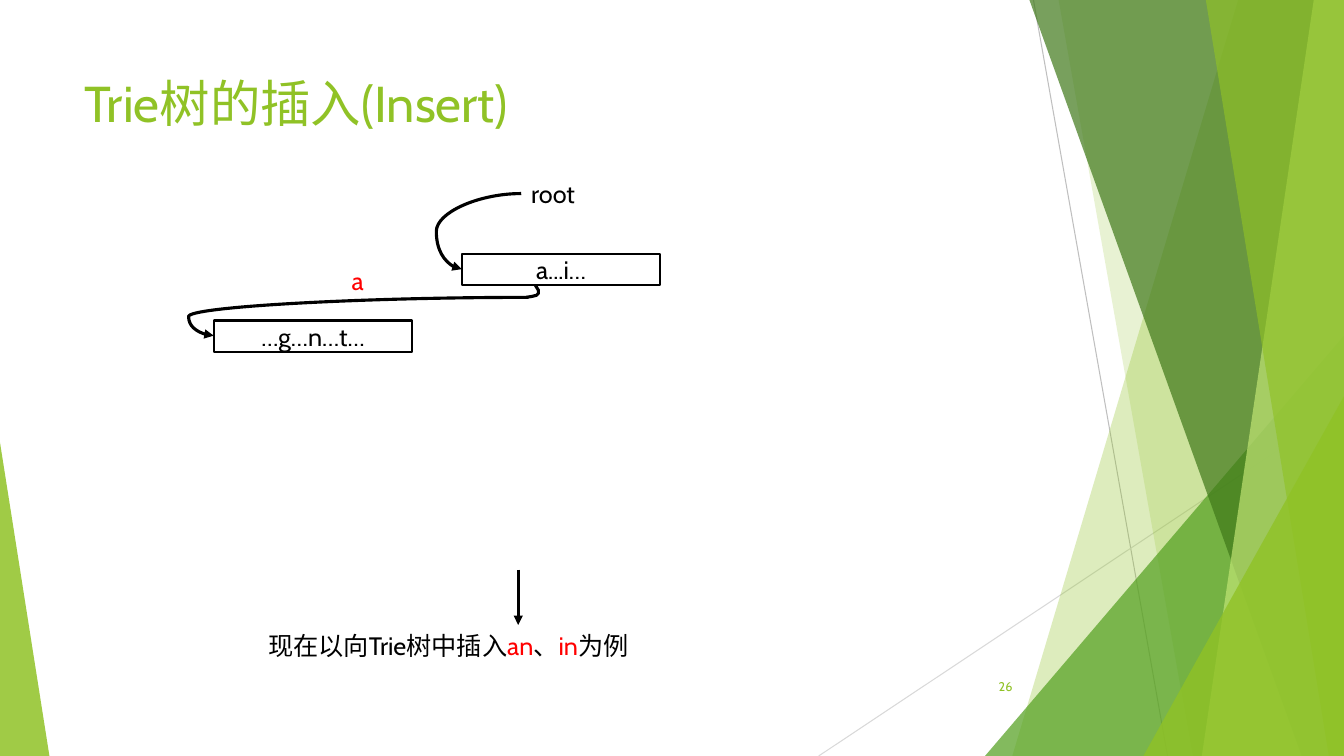
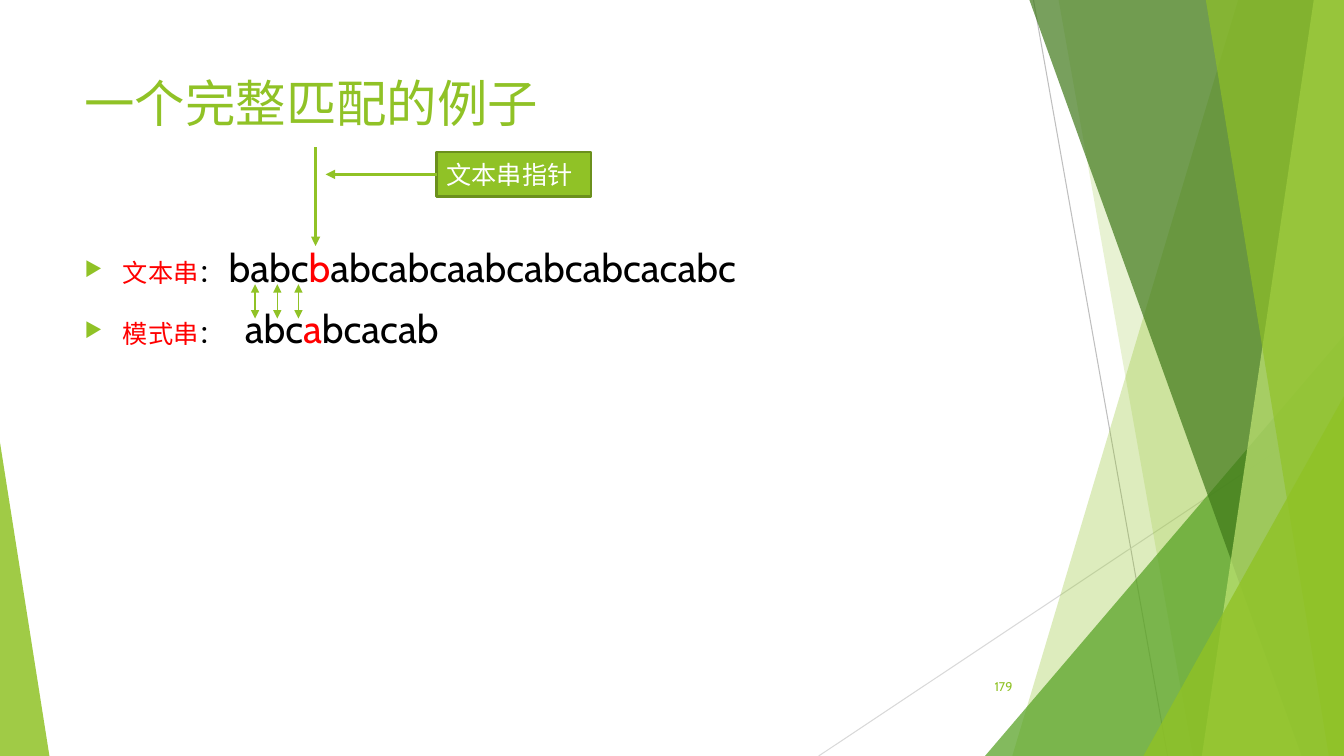
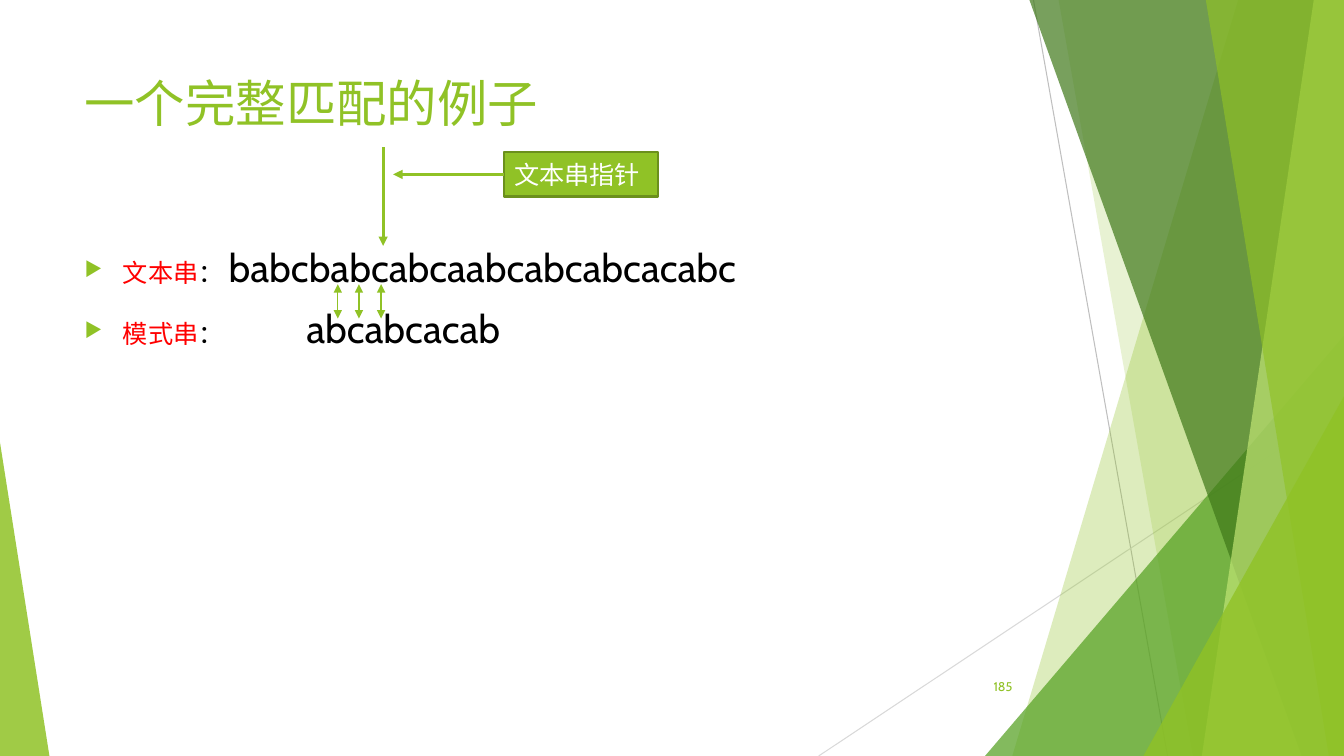
from lxml.etree import SubElement
from pptx import Presentation
from pptx.dml.color import RGBColor
from pptx.enum.shapes import MSO_CONNECTOR, MSO_SHAPE
from pptx.enum.text import MSO_ANCHOR, PP_ALIGN
from pptx.oxml.ns import qn
from pptx.util import Inches, Pt

FONT = "Cabin"
WIDE, HIGH = 13.33, 7.5
HUES = {
    "lime": "90C226", "leaf": "54A021", "forest": "3F7819", "pale": "C0E474",
    "moss": "6B901C", "gray": "BFBFBF", "mist": "D9D9D9",
    "black": "000000", "red": "FF0000", "white": "FFFFFF",
}
COLORS = {name: RGBColor.from_string(code) for name, code in HUES.items()}


def write(frame, rows, size, align=PP_ALIGN.LEFT, gap=0):
    """Fill a frame with rows of (text, colour) runs, gap points apart."""
    frame.word_wrap = True
    for i, row in enumerate(rows):
        para = frame.add_paragraph() if i else frame.paragraphs[0]
        para.alignment = align
        if i:
            para.space_before = Pt(gap)
        for text, color in row:
            run = para.add_run()
            run.text = text
            run.font.size = Pt(size)
            run.font.name = FONT
            run.font.color.rgb = COLORS[color]
            SubElement(run.font._element, qn("a:ea"), typeface=FONT)


def link(slide, start, end, color, width, heads=(), kind=MSO_CONNECTOR.STRAIGHT):
    """Draw a connector; heads names the ends that carry an arrowhead."""
    line = slide.shapes.add_connector(kind, *map(Inches, start + end))
    line.line.color.rgb = COLORS[color]
    line.line.width = Pt(width)
    for head in heads:
        SubElement(line.line._get_or_add_ln(), qn("a:" + head), type="triangle")
    SubElement(line._element.spPr, qn("a:effectLst"))
    return line


deck = Presentation()
deck.slide_width, deck.slide_height = Inches(WIDE), Inches(HIGH)

# Bands run from (top x, foot x) to the right edge; peaks are left, top, width, apex
facets = [
    ("band", (12.28, 10.04), "lime", 30),
    ("band", (10.5, 11.83), "lime", 20),
    ("peak", (9.77, 3.33, 3.56, 1), "leaf", 72),
    ("band", (10.21, 12.91), "forest", 70),
    ("band", (13.03, 11.92), "pale", 70),
    ("band", (11.96, 13.18), "lime", 65),
    ("peak", (11.34, 3.93, 1.99, 1), "lime", 80),
    ("peak", (0, 4.39, 0.49, 0), "lime", 85),
]
heads = [
    ("Trie树的插入(Insert)", "26"),
    ("一个完整匹配的例子", "179"),
    ("一个完整匹配的例子", "185"),
]
slides = []
for title, number in heads:
    slide = deck.slides.add_slide(deck.slide_layouts[6])
    slides.append(slide)
    link(slide, (10.25, 0), (11.58, HIGH), "gray", 0.75)
    link(slide, (WIDE, 4.03), (8.12, HIGH), "mist", 0.75)
    for kind, spot, color, alpha in facets:
        if kind == "band":
            top, foot = spot
            path = slide.shapes.build_freeform(Inches(top), 0)
            corners = [(WIDE, 0), (WIDE, HIGH), (foot, HIGH)]
            path.add_line_segments([(Inches(x), Inches(y)) for x, y in corners])
            facet = path.convert_to_shape()
        else:
            left, top, width, apex = spot
            facet = slide.shapes.add_shape(
                MSO_SHAPE.ISOSCELES_TRIANGLE,
                *map(Inches, (left, top, width, HIGH - top)))
            facet.adjustments[0] = apex
        facet.shadow.inherit = False
        facet.line.fill.background()
        facet.fill.solid()
        facet.fill.fore_color.rgb = COLORS[color]
        tint = facet._element.spPr.find(qn("a:solidFill"))[0]
        SubElement(tint, qn("a:alpha"), val=str(alpha * 1000))
    box = slide.shapes.add_textbox(*map(Inches, (0.74, 0.67, 9.4, 1.44)))
    write(box.text_frame, [[(title, "lime")]], 36)
    box = slide.shapes.add_textbox(*map(Inches, (9.39, 6.61, 0.75, 0.4)))
    box.text_frame.vertical_anchor = MSO_ANCHOR.MIDDLE
    write(box.text_frame, [[(number, "lime")]], 9, PP_ALIGN.RIGHT)

# Trie insertion
trie = slides[0]
for left, top, text in [(4.58, 2.52, "a...i…"), (2.12, 3.18, "…g…n…t…")]:
    node = trie.shapes.add_shape(
        MSO_SHAPE.RECTANGLE, *map(Inches, (left, top, 1.97, 0.31)))
    node.shadow.inherit = False
    node.fill.background()
    node.line.color.rgb = COLORS["black"]
    node.line.width = Pt(1.5)
    node.text_frame.vertical_anchor = MSO_ANCHOR.MIDDLE
    write(node.text_frame, [[(text, "black")]], 18, PP_ALIGN.CENTER)

curves = [((5.24, 2.95), (2.12, 3.33), 108000), ((5.17, 1.92), (4.58, 2.67), 142700)]
for start, end, bend in curves:
    curve = link(trie, start, end, "black", 2.25, ["tailEnd"], MSO_CONNECTOR.CURVE)
    guides = curve._element.spPr.find(qn("a:prstGeom")).get_or_add_avLst()
    SubElement(guides, qn("a:gd"), name="adj1", fmla=f"val {bend}")

path = trie.shapes.build_freeform(Inches(5.22), Inches(2.95))
hook = [(5.28, 2.94), (5.32, 2.93), (5.34, 2.91), (5.34, 2.88), (5.31, 2.83)]
path.add_line_segments([(Inches(x), Inches(y)) for x, y in hook], close=False)
stub = path.convert_to_shape()
stub.shadow.inherit = False
stub.fill.background()
stub.line.color.rgb = COLORS["black"]
stub.line.width = Pt(2.25)

notes = [
    (5.17, 1.72, 0.67, [("root", "black")]),
    (3.39, 2.58, 0.34, [("a", "red")]),
    (2.56, 6.2, 3.89, [("现在以向Trie树中插入", "black"), ("an", "red"),
                       ("、", "black"), ("in", "red"), ("为例", "black")]),
]
for left, top, width, runs in notes:
    box = trie.shapes.add_textbox(*map(Inches, (left, top, width, 0.4)))
    write(box.text_frame, [runs], 18)
link(trie, (5.14, 5.65), (5.14, 6.2), "black", 2.25, ["tailEnd"])

# Matching steps: pointer x, match arrows, text runs, pattern runs, pattern indent
steps = [
    (3.13, (2.53, 2.75, 2.96),
     [("babc", "black"), ("b", "red"), ("abcabcaabcabcabcacabc", "black")],
     [("abc", "black"), ("a", "red"), ("bcacab", "black")], 1.59),
    (3.8, (3.35, 3.56, 3.78),
     [("babcbabcabcaabcabcabcacabc", "black")],
     [("abcabcacab", "black")], 2.2),
]
for slide, (x, pairs, text, pattern, shift) in zip(slides[1:], steps):
    names = slide.shapes.add_textbox(*map(Inches, (0.74, 2.5, 1.6, 1.2))).text_frame
    rows = [[(name, "red"), ("：", "black")] for name in ("文本串", "模式串")]
    write(names, rows, 18, gap=22)
    for para in names.paragraphs:
        props = para._p.get_or_add_pPr()
        props.set("marL", str(Inches(0.38)))
        props.set("indent", str(-Inches(0.38)))
        tint = SubElement(props, qn("a:buClr"))
        SubElement(tint, qn("a:srgbClr"), val=HUES["lime"])
        SubElement(props, qn("a:buSzPct"), val="80000")
        SubElement(props, qn("a:buChar"), char="▶")

    words = slide.shapes.add_textbox(*map(Inches, (0.74, 2.36, 9.4, 1.3))).text_frame
    write(words, [text, pattern], 28, gap=10)
    for para, indent in zip(words.paragraphs, (1.43, shift)):
        para._p.get_or_add_pPr().set("marL", str(Inches(indent)))

    for pair in pairs:
        link(slide, (pair, 2.82), (pair, 3.16), "lime", 1, ["headEnd", "tailEnd"])
    label = slide.shapes.add_shape(
        MSO_SHAPE.RECTANGLE, *map(Inches, (x + 1.2, 1.51, 1.53, 0.44)))
    label.shadow.inherit = False
    label.fill.solid()
    label.fill.fore_color.rgb = COLORS["lime"]
    label.line.color.rgb = COLORS["moss"]
    label.line.width = Pt(1.5)
    label.text_frame.vertical_anchor = MSO_ANCHOR.MIDDLE
    write(label.text_frame, [[("文本串指针", "white")]], 18)
    arrow = link(slide, (x + 1.2, 1.73), (x + 0.1, 1.73), "lime", 2.25, ["tailEnd"])
    arrow.begin_connect(label, 1)
    link(slide, (x, 1.46), (x, 2.44), "lime", 2.25, ["tailEnd"])

deck.save("out.pptx")
